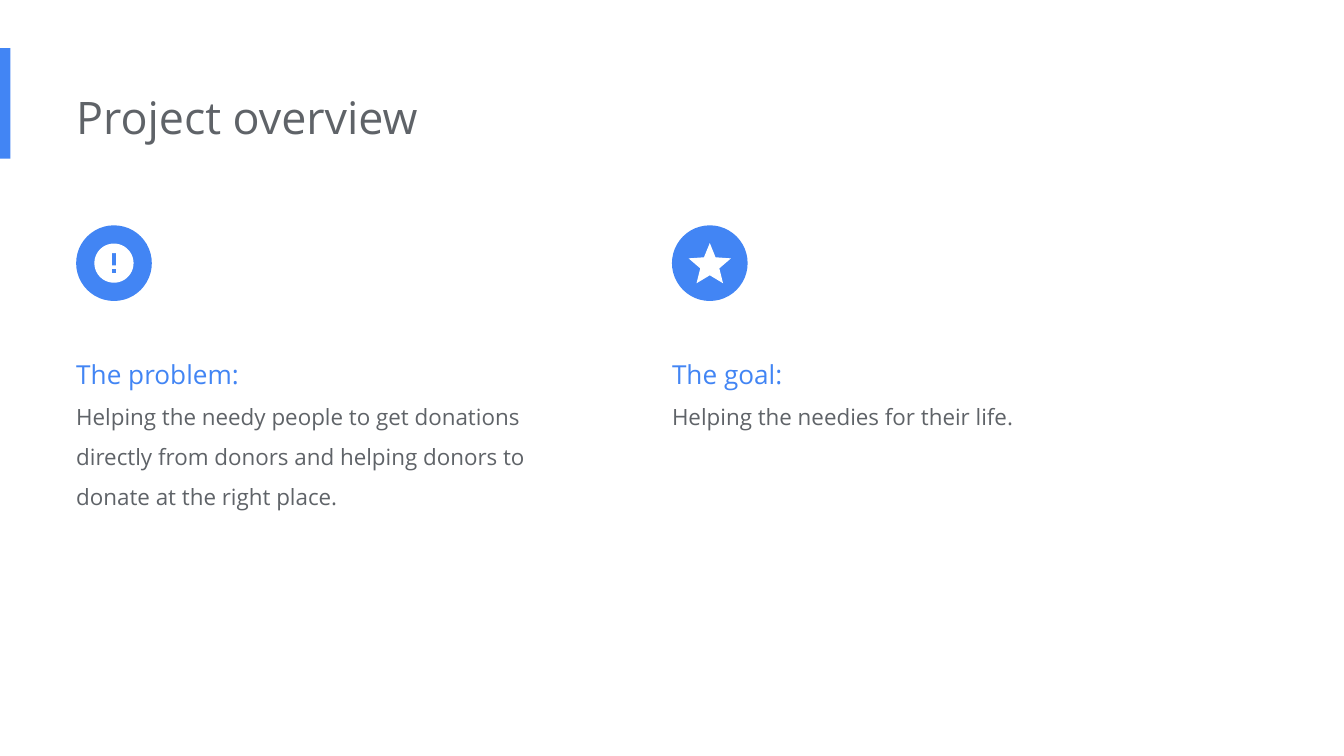
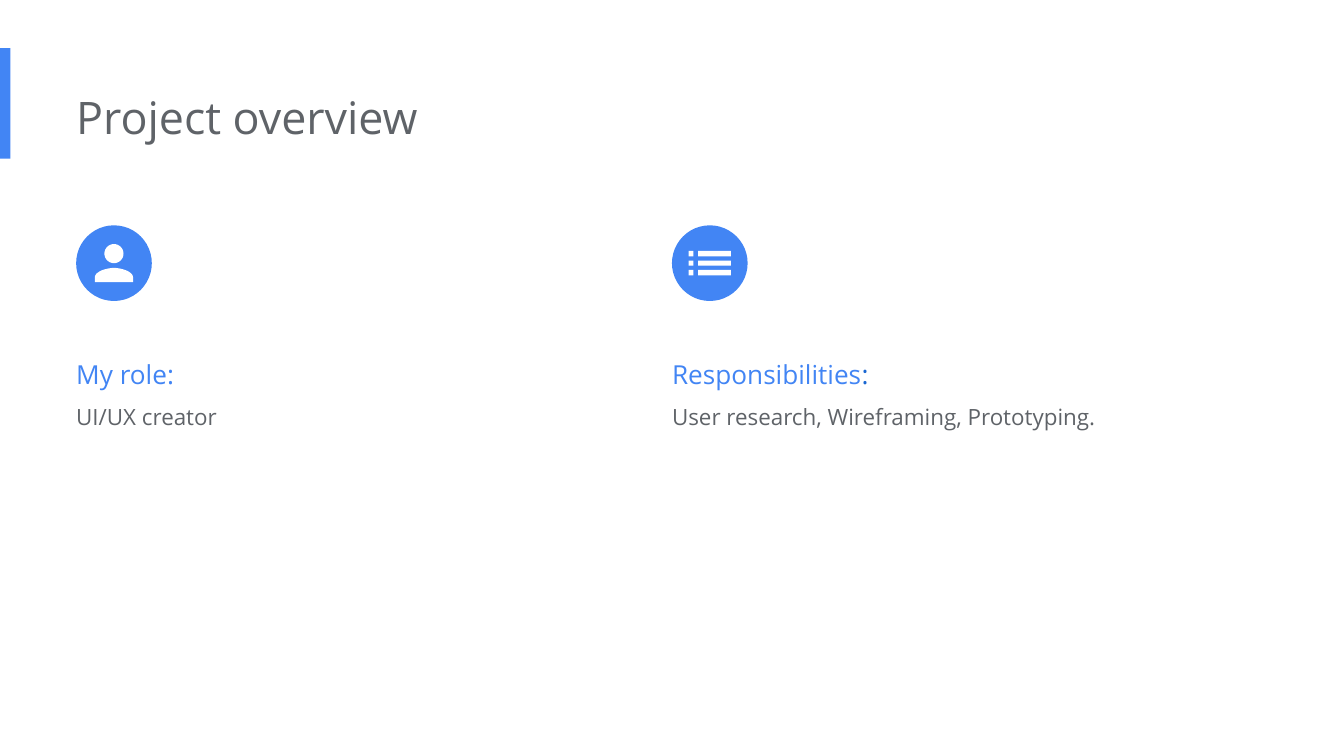
from dataclasses import dataclass
from math import cos, pi, sin
from typing import Callable

from lxml.etree import SubElement
from pptx import Presentation
from pptx.dml.color import RGBColor as Rgb
from pptx.enum.shapes import MSO_SHAPE as Kind
from pptx.enum.text import MSO_ANCHOR as Anchor, MSO_AUTO_SIZE as Auto, PP_ALIGN as Align
from pptx.oxml.ns import qn
from pptx.shapes.base import BaseShape as Shape
from pptx.slide import Slide
from pptx.text.text import TextFrame as Frame
from pptx.util import Cm, Pt

Point = tuple[float, float]
Path = list[Point]


@dataclass(frozen=True)
class Theme:
    font: str = "Open Sans"
    blue: str = "4285F4"
    deep: str = "1967D2"
    grey: str = "5F6368"
    white: str = "FFFFFF"
    title: int = 24
    head: int = 14
    body: int = 12


LOOK = Theme()
LEFT = 1.44
STEP = 11.26
DISC = 1.43
DISC_TOP = 4.26


@dataclass(frozen=True)
class Card:
    head: str
    text: str
    icon: Callable[[], list[Path]]
    colon: str = LOOK.blue
    high: float = 2.18


def box(x1: float, y1: float, x2: float, y2: float) -> Path:
    return [(x1, y1), (x2, y1), (x2, y2), (x1, y2)]


def ring(y: float, r: float, count: int = 72) -> Path:
    turns = [2 * pi * i / count for i in range(count)]
    return [(r * cos(a), y + r * sin(a)) for a in turns]


def curve(a: Point, b: Point, c: Point, d: Point, count: int = 20) -> Path:
    def at(t: float, i: int) -> float:
        s = 1 - t
        return s**3 * a[i] + 3 * s * s * t * b[i] + 3 * s * t * t * c[i] + t**3 * d[i]

    return [(at(i / count, 0), at(i / count, 1)) for i in range(count + 1)]


def mirror(half: Path) -> Path:
    return half + [(-x, y) for x, y in reversed(half)]


def alert() -> list[Path]:
    return [ring(0, 0.37), box(-0.04, -0.19, 0.04, 0.04), box(-0.04, 0.11, 0.04, 0.19)]


def star() -> list[Path]:
    half = [(0, -0.38), (0.11, -0.11), (0.4, -0.09), (0.18, 0.1), (0.25, 0.38), (0, 0.23)]
    return [mirror(half)]


def person() -> list[Path]:
    side = curve((0, 0.09), (0.12, 0.09), (0.36, 0.15), (0.36, 0.27))
    return [ring(-0.18, 0.18), mirror(side + [(0.36, 0.36)])]


def rows() -> list[Path]:
    spans = [(-0.4, -0.31), (-0.22, 0.4)]
    return [
        box(x1, y - 0.05, x2, y + 0.05) for y in (-0.18, 0, 0.18) for x1, x2 in spans
    ]


def paint(shape: Shape, tint: str) -> None:
    shape.shadow.inherit = False
    shape.fill.solid()
    shape.fill.fore_color.rgb = Rgb.from_string(tint)
    shape.line.fill.background()


def solid(slide: Slide, kind: Kind, x: float, y: float, w: float, h: float) -> Shape:
    shape = slide.shapes.add_shape(kind, Cm(x), Cm(y), Cm(w), Cm(h))
    paint(shape, LOOK.blue)
    return shape


def draw(slide: Slide, paths: list[Path], x: float, y: float) -> None:
    spots = [[(Cm(x + dx), Cm(y + dy)) for dx, dy in path] for path in paths]
    pen = slide.shapes.build_freeform(*spots[0][0])
    pen.add_line_segments(spots[0][1:], close=True)
    for path in spots[1:]:
        pen.move_to(*path[0])
        pen.add_line_segments(path[1:], close=True)
    paint(pen.convert_to_shape(), LOOK.white)


def write(frame: Frame, text: str, *, size: int, tint: str,
          space: float = 1.0, fresh: bool = True) -> None:
    last = frame.paragraphs[-1]
    para = frame.add_paragraph() if fresh and last.runs else last
    if not para.runs:
        para.alignment = Align.LEFT
        para.line_spacing = space
        para.space_before = para.space_after = Pt(0)
        props = para._p.get_or_add_pPr()
        props.set("marL", "0")
        props.set("indent", "0")
        SubElement(props, qn("a:buNone"))
    run = para.add_run()
    run.text = text
    run.font.name = LOOK.font
    run.font.size = Pt(size)
    run.font.color.rgb = Rgb.from_string(tint)


def place(holder: Shape, x: float, y: float, w: float, h: float) -> Frame:
    holder.left, holder.top, holder.width, holder.height = Cm(x), Cm(y), Cm(w), Cm(h)
    frame = holder.text_frame
    frame.word_wrap = True
    frame.auto_size = Auto.SHAPE_TO_FIT_TEXT
    frame.vertical_anchor = Anchor.TOP
    frame.margin_left = 0
    frame.margin_top = frame.margin_right = frame.margin_bottom = Cm(0.25)
    return frame


def fill(slide: Slide, cards: list[Card]) -> None:
    title = place(slide.shapes.title, LEFT, 1.45, 17.09, 1.55)
    write(title, "Project overview", size=LOOK.title, tint=LOOK.grey)
    for i, card in enumerate(cards):
        x = LEFT + i * STEP
        frame = place(slide.placeholders[i + 1], x, 6.22, 9.58, card.high)
        write(frame, card.head, size=LOOK.head, tint=LOOK.blue, space=1.5)
        write(frame, ":", size=LOOK.head, tint=card.colon, fresh=False)
        write(frame, card.text, size=LOOK.body, tint=LOOK.grey, space=1.5)
        solid(slide, Kind.OVAL, x, DISC_TOP, DISC, DISC)
        draw(slide, card.icon(), x + DISC / 2, DISC_TOP + DISC / 2)


DECK = [
    [
        Card(
            "The problem",
            "Helping the needy people to get donations directly from donors "
            "and helping donors to donate at the right place.",
            alert,
            high=3.71,
        ),
        Card("The goal", "Helping the needies for their life.", star),
    ],
    [
        Card("My role", "UI/UX creator", person),
        Card(
            "Responsibilities",
            "User research, Wireframing, Prototyping.",
            rows,
            colon=LOOK.deep,
        ),
    ],
]


def main() -> None:
    deck = Presentation()
    deck.slide_width, deck.slide_height = Cm(25.4), Cm(14.29)
    layout = deck.slide_layouts.get_by_name("Two Content")
    slides = [deck.slides.add_slide(layout) for _ in DECK]
    band = solid(slides[0], Kind.RECTANGLE, 0, 0.91, 0.2, 2.09)
    layout.shapes.element.append(band.element)
    for slide, cards in zip(slides, DECK):
        fill(slide, cards)
    deck.save("out.pptx")


if __name__ == "__main__":
    main()
